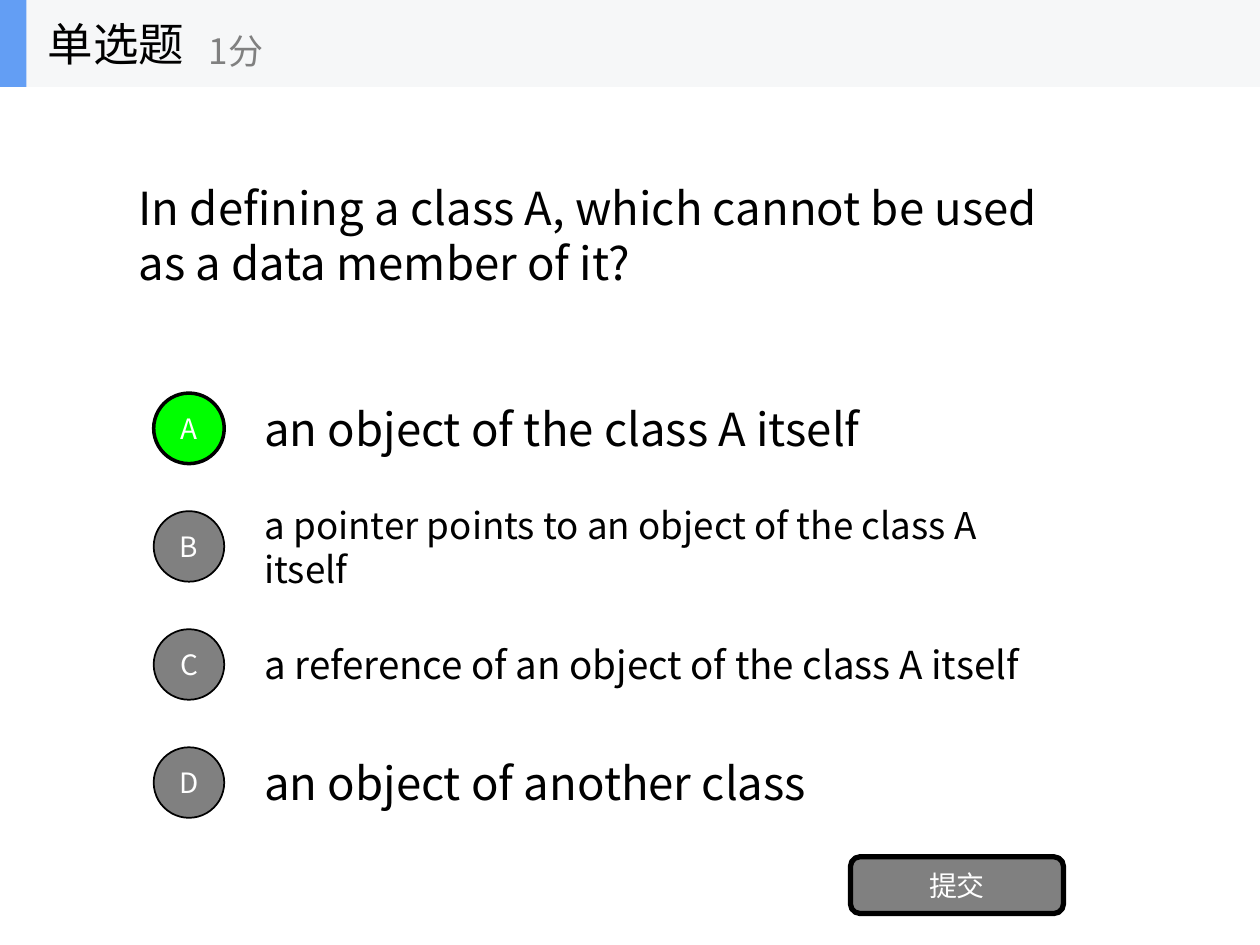
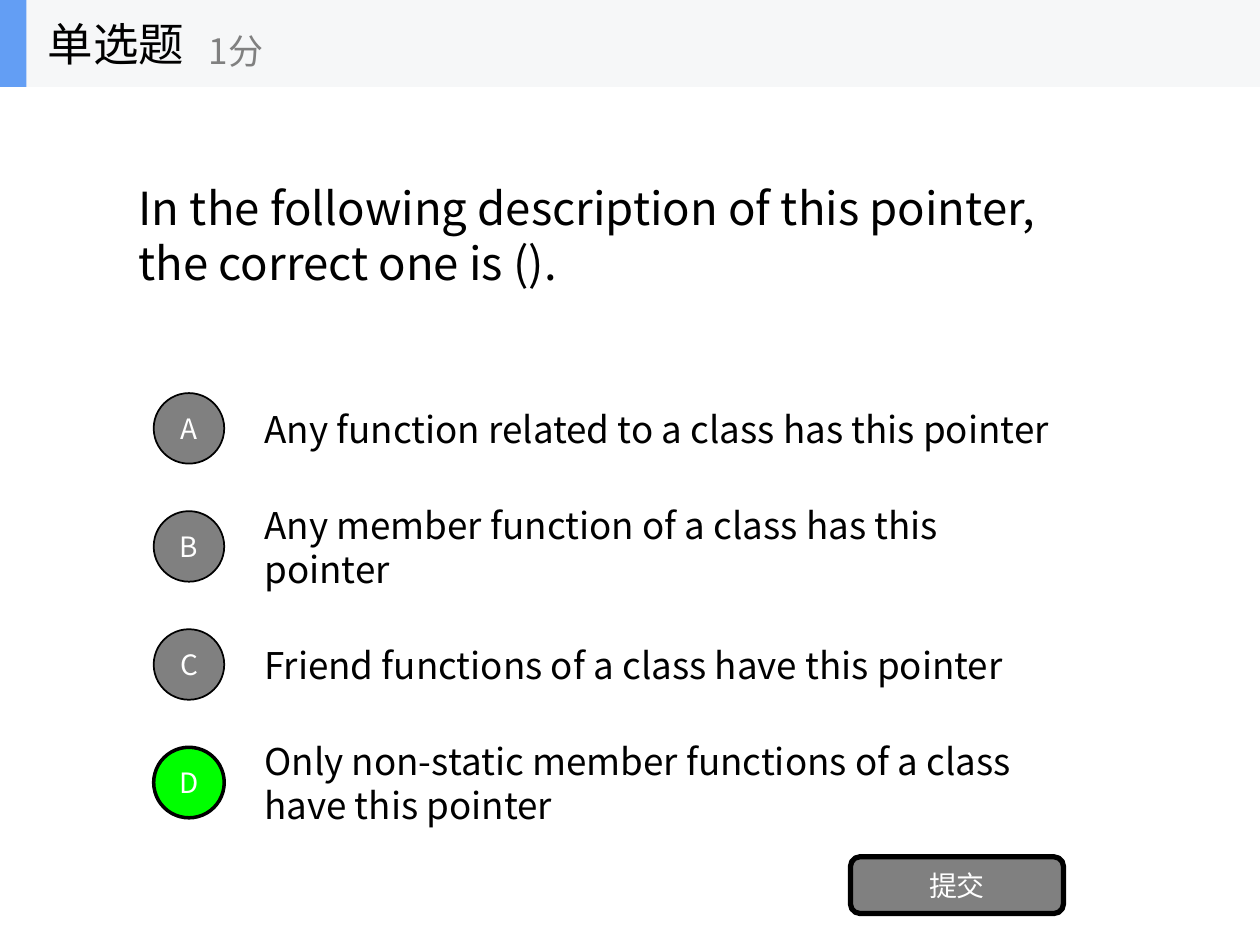
from dataclasses import dataclass

from lxml import etree
from pptx import Presentation
from pptx.dml.color import RGBColor
from pptx.enum.shapes import MSO_SHAPE as SHAPE
from pptx.enum.text import MSO_ANCHOR, MSO_AUTO_SIZE, PP_ALIGN as ALIGN
from pptx.oxml.ns import qn
from pptx.util import Inches, Pt

# Each option: text, type size, width of its box
QUESTIONS = [
    {
        "text": "In defining a class A, which cannot be used as a data member of it?",
        "width": 7.63,
        "answer": "A",
        "options": [
            ("an object of the class A itself", 26, 5.14),
            ("a pointer points to an object of the class A itself", 21, 6.2),
            ("a reference of an object of the class A itself", 22, 6.48),
            ("an object of another class", 26, 4.64),
        ],
    },
    {
        "text": "In the following description of this pointer, the correct one is ().",
        "width": 7.55,
        "answer": "D",
        "options": [
            ("Any function related to a class has this pointer", 21, 6.65),
            ("Any member function of a class has this pointer", 21, 5.75),
            ("Friend functions of a class have this pointer", 21, 6.24),
            ("Only non-static member functions of a class have this pointer", 21, 6.34),
        ],
    },
]
QUESTION_TYPE, SCORE, SUBMIT = "单选题", "1分", "提交"


@dataclass(frozen=True)
class Theme:
    font: str = "Noto Sans CJK SC"
    ink: str = "000000"
    muted: str = "808080"
    light: str = "FFFFFF"
    correct: str = "00FF00"
    band: str = "F6F7F8"
    accent: str = "639EF4"
    heading: int = 26
    score: int = 20
    button: int = 16


T = Theme()
SLIDE_W, SLIDE_H = 10, 7.5
BAND_H = 0.69
BADGE_X, BADGE_SIZE = 1.22, 0.56
OPTION_X, OPTION_H = 2, 0.81
FIRST_ROW, ROW_STEP = 3.4, 0.937  # centre of option A, distance between options


def write(shape, text, size, color, align=ALIGN.LEFT, wrap=True):
    tf = shape.text_frame
    tf.text = text
    tf.word_wrap = wrap
    tf.auto_size = MSO_AUTO_SIZE.NONE
    tf.vertical_anchor = MSO_ANCHOR.MIDDLE
    p = tf.paragraphs[0]
    p.alignment = align
    for r in p.runs:
        r.font.size = Pt(size)
        r.font.name = T.font
        r.font.color.rgb = RGBColor.from_string(color)
        etree.SubElement(r.font._element, qn("a:ea"), typeface=T.font)


def add_text(s, box, text, size, color, wrap=True):
    write(s.shapes.add_textbox(*map(Inches, box)), text, size, color, wrap=wrap)


def add_block(s, kind, box, fill, line_width=0):
    sp = s.shapes.add_shape(kind, *map(Inches, box))
    sp.shadow.inherit = False
    sp.fill.solid()
    sp.fill.fore_color.rgb = RGBColor.from_string(fill)
    if line_width:
        sp.line.color.rgb = RGBColor.from_string(T.ink)
        sp.line.width = Pt(line_width)
    else:
        sp.line.fill.background()
    return sp


def add_button(s, kind, box, label, fill, line_width):
    sp = add_block(s, kind, box, fill, line_width)
    tf = sp.text_frame
    tf.margin_left = tf.margin_right = tf.margin_top = tf.margin_bottom = 0
    write(sp, label, T.button, T.light, ALIGN.CENTER)


def add_header(s):
    add_block(s, SHAPE.RECTANGLE, (0, 0, SLIDE_W, BAND_H), T.band)
    add_block(s, SHAPE.RECTANGLE, (0, 0, 0.21, BAND_H), T.accent)
    add_text(s, (0.28, 0, 2.08, BAND_H), QUESTION_TYPE, T.heading, T.ink, wrap=False)
    add_text(s, (1.56, 0.12, 2.5, 0.56), SCORE, T.score, T.muted, wrap=False)


def add_question(s, question):
    title = s.shapes.title
    title.left, title.top = Inches(1), Inches(1.38)
    title.width, title.height = Inches(question["width"]), Inches(0.97)
    write(title, question["text"], T.heading, T.ink)

    for i, (letter, (text, size, width)) in enumerate(zip("ABCD", question["options"])):
        center = FIRST_ROW + i * ROW_STEP
        add_text(s, (OPTION_X, center - OPTION_H / 2, width, OPTION_H), text, size, T.ink)
        fill, line_width = (T.correct, 2) if letter == question["answer"] else (T.muted, 1)
        badge = (BADGE_X, center - BADGE_SIZE / 2, BADGE_SIZE, BADGE_SIZE)
        add_button(s, SHAPE.OVAL, badge, letter, fill, line_width)

    add_button(s, SHAPE.ROUNDED_RECTANGLE, (6.75, 6.8, 1.69, 0.45), SUBMIT, T.muted, 3)


def main():
    prs = Presentation()
    prs.slide_width, prs.slide_height = Inches(SLIDE_W), Inches(SLIDE_H)
    for question in QUESTIONS:
        s = prs.slides.add_slide(prs.slide_layouts.get_by_name("Title Only"))
        add_question(s, question)
        add_header(s)
    prs.save("out.pptx")


if __name__ == "__main__":
    main()
